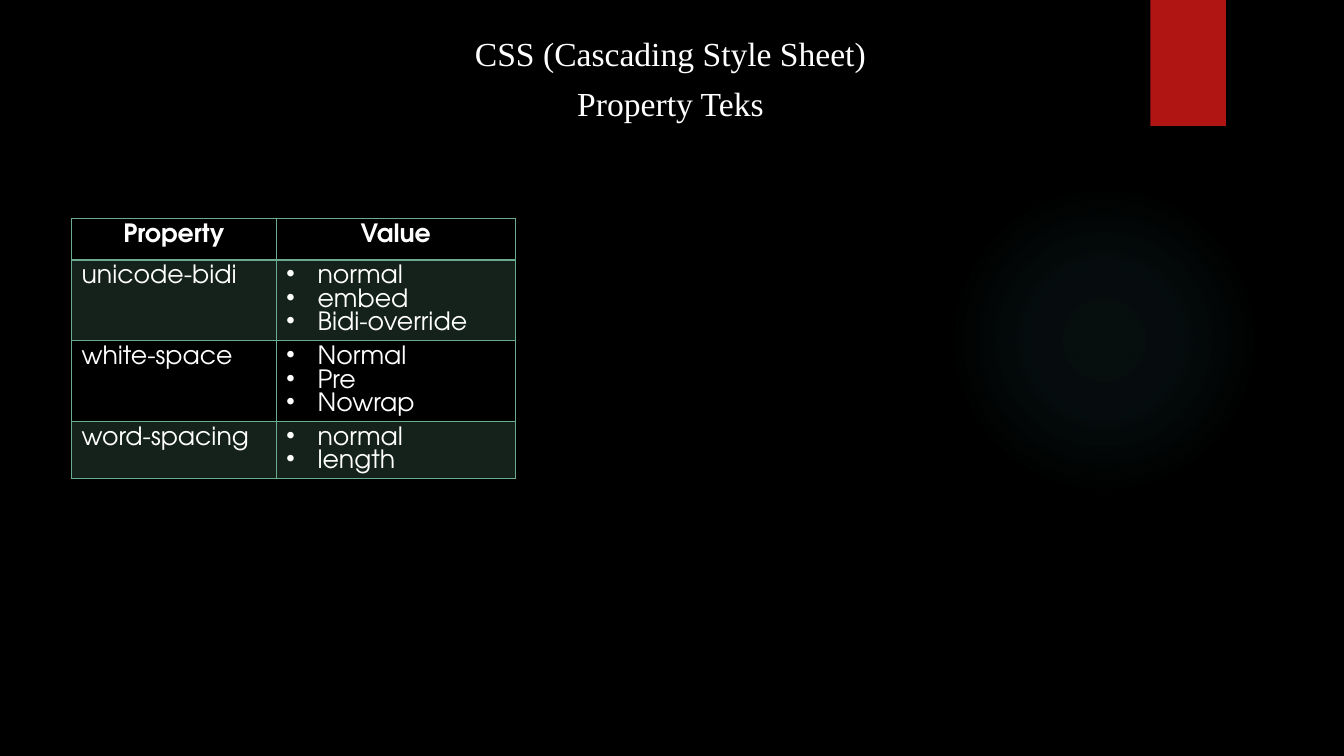
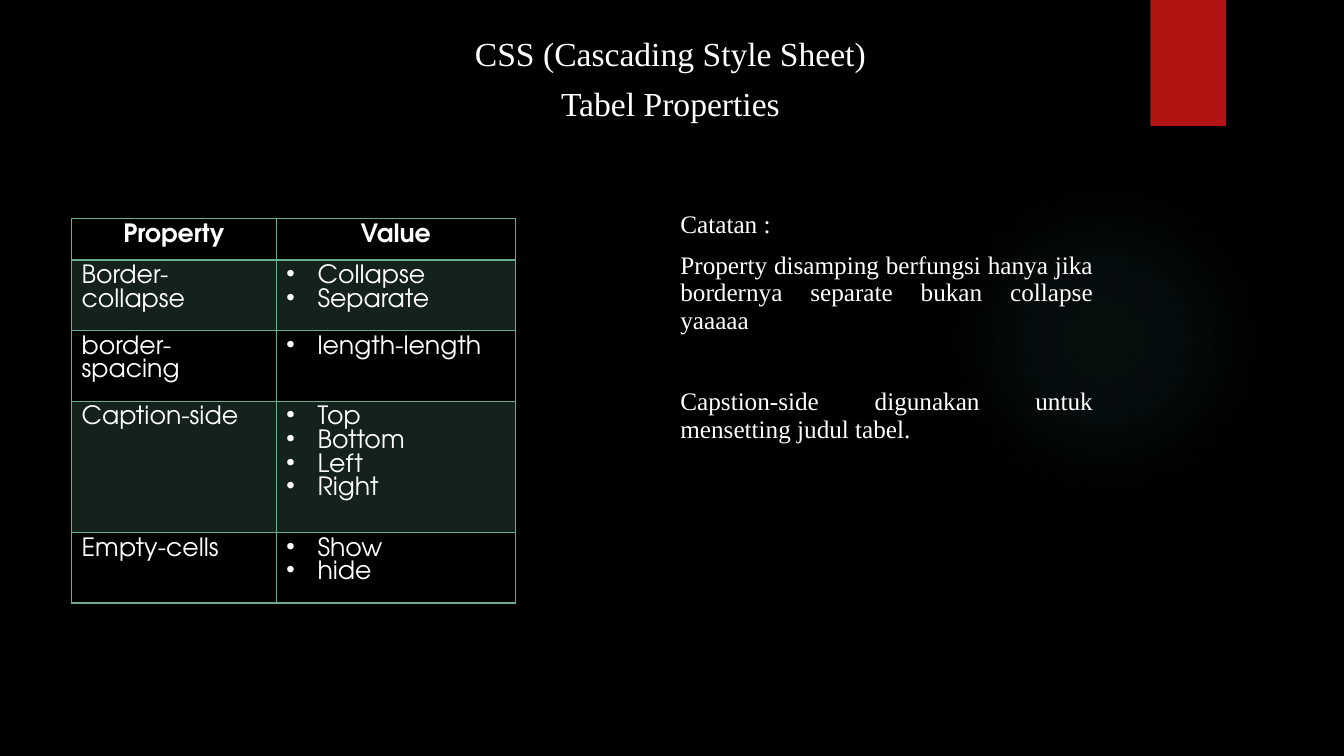
from lxml import etree
from pptx import Presentation
from pptx.dml.color import RGBColor
from pptx.enum.shapes import MSO_SHAPE as SHAPE
from pptx.enum.text import PP_ALIGN as ALIGN
from pptx.oxml import parse_xml
from pptx.oxml.ns import nsdecls, qn
from pptx.util import Inches, Pt

# Content
HEADING = "CSS (Cascading Style Sheet)"
HEADER = ("Property", "Value")
SLIDES = [
    {
        "title": "Property Teks",
        "rows": [
            ("unicode-bidi", ["normal", "embed", "Bidi-override"]),
            ("white-space", ["Normal", "Pre", "Nowrap"]),
            ("word-spacing", ["normal", "length"]),
        ],
        "notes": [],
    },
    {
        "title": "Tabel Properties",
        "rows": [
            ("Border-collapse", ["Collapse", "Separate"]),
            ("border-spacing", ["length-length"]),
            ("Caption-side", ["Top", "Bottom", "Left", "Right"]),
            ("Empty-cells", ["Show", "hide"]),
        ],
        # (text, space before in points)
        "notes": [
            ("Catatan :", 10),
            ("Property disamping berfungsi hanya jika bordernya separate "
             "bukan collapse yaaaaa", 10),
            ("Capstion-side digunakan untuk mensetting judul tabel.", 39),
        ],
    },
]

# Shared style
BLACK, WHITE, RED, GREEN, GLOW = "000000", "FFFFFF", "B01513", "6AAC90", "50B9C1"
SERIF, SANS = "Times New Roman", "TeX Gyre Adventor"
GLOW_STOPS = [(0, 7), (36, 6), (69, 0)]  # position %, opacity %
COL_WIDTHS = (2.03, 2.37)
ROW_HEIGHT = 0.41
BULLET_INDENT = Inches(0.31)


def rgb(color):
    return RGBColor.from_string(color)


def style(p, font, size, align, bold=False):
    p.alignment = align
    p.font.name, p.font.size, p.font.bold = font, Pt(size), bold
    p.font.color.rgb = rgb(WHITE)


def add_shape(s, kind, *box):
    sp = s.shapes.add_shape(kind, *map(Inches, box))
    sp.shadow.inherit = False
    sp.line.fill.background()
    return sp


def add_backdrop(s):
    glow = add_shape(s, SHAPE.OVAL, 9.41, 1.83, 3.08, 3.08)
    stops = "".join(
        f'<a:gs pos="{pos * 1000}"><a:srgbClr val="{GLOW}">'
        f'<a:alpha val="{alpha * 1000}"/></a:srgbClr></a:gs>'
        for pos, alpha in GLOW_STOPS)
    geometry = glow._element.spPr.find(qn("a:prstGeom"))
    geometry.addnext(parse_xml(
        f'<a:gradFill {nsdecls("a")}><a:gsLst>{stops}</a:gsLst>'
        '<a:path path="circle"><a:fillToRect l="50000" t="50000" r="50000" b="50000"/>'
        '</a:path></a:gradFill>'))
    ribbon = add_shape(s, SHAPE.RECTANGLE, 11.41, 0, 0.75, 1.25)
    ribbon.fill.solid()
    ribbon.fill.fore_color.rgb = rgb(RED)


def add_text(s, box, paragraphs, size, align):
    tf = s.shapes.add_textbox(*map(Inches, box)).text_frame
    tf.word_wrap = True
    for i, (text, before) in enumerate(paragraphs):
        p = tf.add_paragraph() if i else tf.paragraphs[0]
        p.text = text
        style(p, SERIF, size, align)
        p.line_spacing, p.space_before = 0.9, Pt(before)


def set_borders(cell, **widths):
    tcPr = cell._tc.get_or_add_tcPr()
    for side, width in widths.items():
        tcPr.append(parse_xml(
            f'<a:ln{side} {nsdecls("a")} w="{Pt(width)}"><a:solidFill>'
            f'<a:srgbClr val="{GREEN}"/></a:solidFill></a:ln{side}>'))


def add_bullet(p):
    pPr = p._p.get_or_add_pPr()
    pPr.set("marL", str(BULLET_INDENT))
    pPr.set("indent", str(-BULLET_INDENT))
    bullet = parse_xml(f'<a:buChar {nsdecls("a")} char="•"/>')
    pPr.insert_element_before(bullet, "a:tabLst", "a:defRPr", "a:extLst")


def fill_cell(cell, row, lines, bulleted):
    is_header = row == 0
    set_borders(cell, L=1, R=1, T=2 if row == 1 else 1, B=2 if is_header else 1)
    if row % 2:
        cell.fill.solid()
        cell.fill.fore_color.rgb = rgb(GREEN)
        color = cell._tc.tcPr.find(".//" + qn("a:solidFill") + "[last()]")
        color = cell._tc.tcPr.find(qn("a:solidFill"))[0]
        etree.SubElement(color, qn("a:alpha")).set("val", "20000")
    else:
        cell.fill.background()
    tf = cell.text_frame
    for i, line in enumerate(lines):
        p = tf.add_paragraph() if i else tf.paragraphs[0]
        p.text = line
        style(p, SANS, 18, ALIGN.CENTER if is_header else ALIGN.LEFT, is_header)
        if bulleted:
            add_bullet(p)


def add_property_table(s, rows):
    n = len(rows) + 1
    box = (0.71, 2.17, sum(COL_WIDTHS), n * ROW_HEIGHT)
    table = s.shapes.add_table(n, 2, *map(Inches, box)).table
    table.first_row = table.horz_banding = False
    for column, width in zip(table.columns, COL_WIDTHS):
        column.width = Inches(width)
    for c, name in enumerate(HEADER):
        fill_cell(table.cell(0, c), 0, [name], False)
    for r, (name, values) in enumerate(rows, 1):
        fill_cell(table.cell(r, 0), r, [name], False)
        fill_cell(table.cell(r, 1), r, values, True)


# Build
prs = Presentation()
prs.slide_width, prs.slide_height = Inches(13.33), Inches(7.5)
for content in SLIDES:
    s = prs.slides.add_slide(prs.slide_layouts[6])
    s.background.fill.solid()
    s.background.fill.fore_color.rgb = rgb(BLACK)
    add_backdrop(s)
    add_property_table(s, content["rows"])
    add_text(s, (1.65, 0.32, 10, 0.99), [(HEADING, 10), (content["title"], 10)],
             24, ALIGN.CENTER)
    if content["notes"]:
        add_text(s, (6.65, 2.05, 4.29, 0.99), content["notes"], 18, ALIGN.JUSTIFY)
prs.save("out.pptx")
